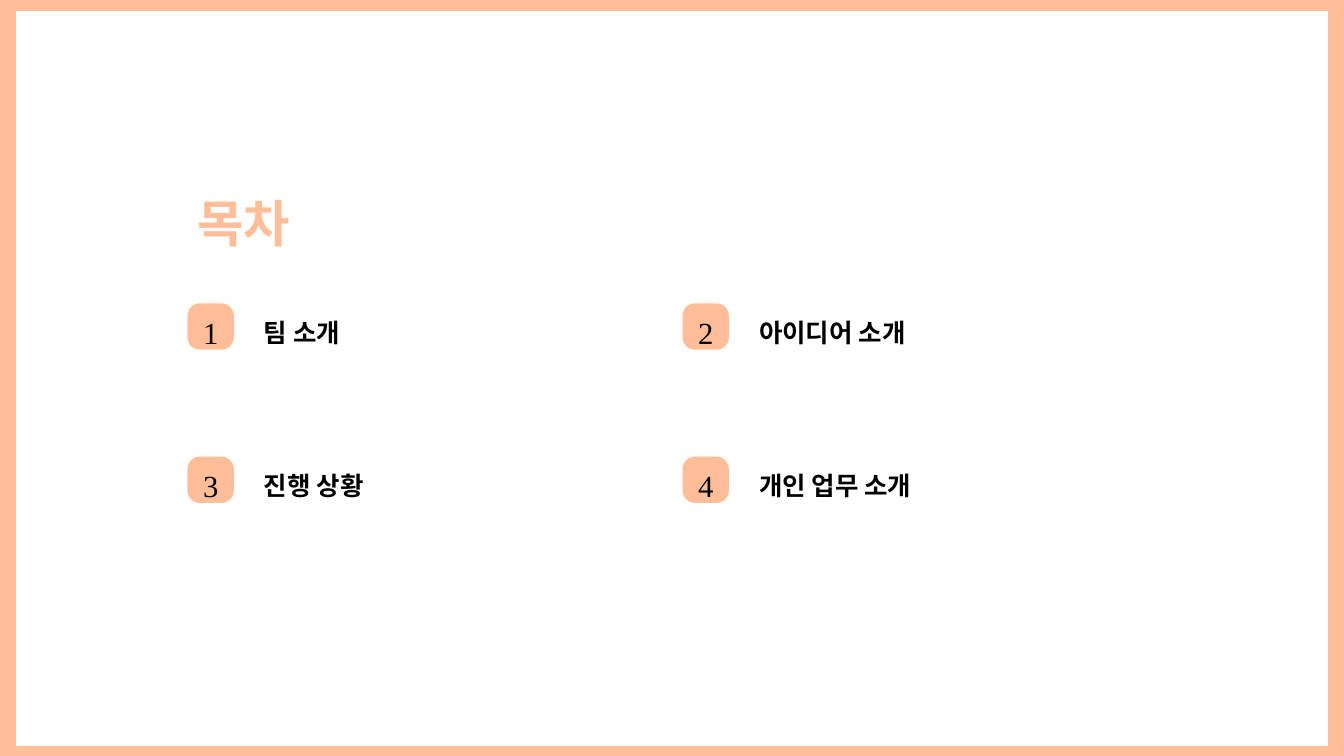
from dataclasses import dataclass

from pptx import Presentation
from pptx.dml.color import RGBColor
from pptx.enum.shapes import MSO_SHAPE
from pptx.enum.text import MSO_ANCHOR, MSO_AUTO_SIZE, PP_ALIGN
from pptx.oxml.ns import qn
from pptx.util import Inches, Pt


@dataclass(frozen=True)
class Theme:
    peach: RGBColor = RGBColor(0xFF, 0xBE, 0x98)
    white: RGBColor = RGBColor(0xFF, 0xFF, 0xFF)
    black: RGBColor = RGBColor(0, 0, 0)
    sans: str = "Noto Sans CJK KR"
    serif: str = "Times New Roman"
    head: float = 36
    num: float = 21.9
    item: float = 18.2


theme = Theme()


def paint(kind, box, fill):
    shape = slide.shapes.add_shape(kind, *map(Inches, box))
    shape.shadow.inherit = False
    shape.fill.solid()
    shape.fill.fore_color.rgb = fill
    shape.line.fill.background()
    return shape


def write(shape, text, color, lead, align, **style):
    frame = shape.text_frame
    frame.text = text
    frame.word_wrap = False
    frame.auto_size = MSO_AUTO_SIZE.NONE
    frame.vertical_anchor = MSO_ANCHOR.TOP
    para = frame.paragraphs[0]
    para.alignment = align
    para.line_spacing = Pt(lead)
    font = para.runs[0].font
    for key, value in style.items():
        setattr(font, key, value)
    font.color.rgb = color
    # Korean letters take the sans face
    east = font._element.makeelement(qn("a:ea"), {"typeface": theme.sans})
    font._element.find(qn("a:latin")).addnext(east)


# Slide and background
deck = Presentation()
deck.slide_width, deck.slide_height = Inches(13.33), Inches(7.5)
slide = deck.slides.add_slide(deck.slide_layouts[5])
back = slide.background.fill
back.solid()
back.fore_color.rgb = theme.peach

# White panel, behind the title
title = slide.shapes.title
panel = paint(MSO_SHAPE.RECTANGLE, (0.16, 0.11, 13.01, 7.29), theme.white)
title.element.addprevious(panel.element)

# Title
place = dict(left=1.86, top=1.82, width=5.06, height=0.63)
for key, value in place.items():
    setattr(title, key, Inches(value))
title.fill.solid()
title.fill.fore_color.rgb = theme.white
write(title, "목차", theme.peach, 45.6, PP_ALIGN.LEFT,
      size=Pt(theme.head), name=theme.sans, bold=True)

# Contents in a grid of two columns
items = ["팀 소개", "아이디어 소개", "진행 상황", "개인 업무 소개"]
for i, item in enumerate(items):
    row, col = divmod(i, 2)
    x, y = 1.86 + col * 4.91, 3.01 + row * 1.52
    badge = paint(MSO_SHAPE.ROUNDED_RECTANGLE, (x, y, 0.46, 0.46), theme.peach)
    badge.adjustments[0] = 0.267

    num = slide.shapes.add_textbox(
        *map(Inches, (x + 0.135, y + 0.04, 0.19, 0.38)))
    write(num, str(i + 1), theme.black, 27.3, PP_ALIGN.CENTER,
          size=Pt(theme.num), name=theme.serif)

    label = slide.shapes.add_textbox(
        *map(Inches, (x + 0.66, y + 0.07, 2.53, 0.32)))
    write(label, item, theme.black, 22.8, PP_ALIGN.LEFT,
          size=Pt(theme.item), name=theme.serif, bold=True)

deck.save("out.pptx")
